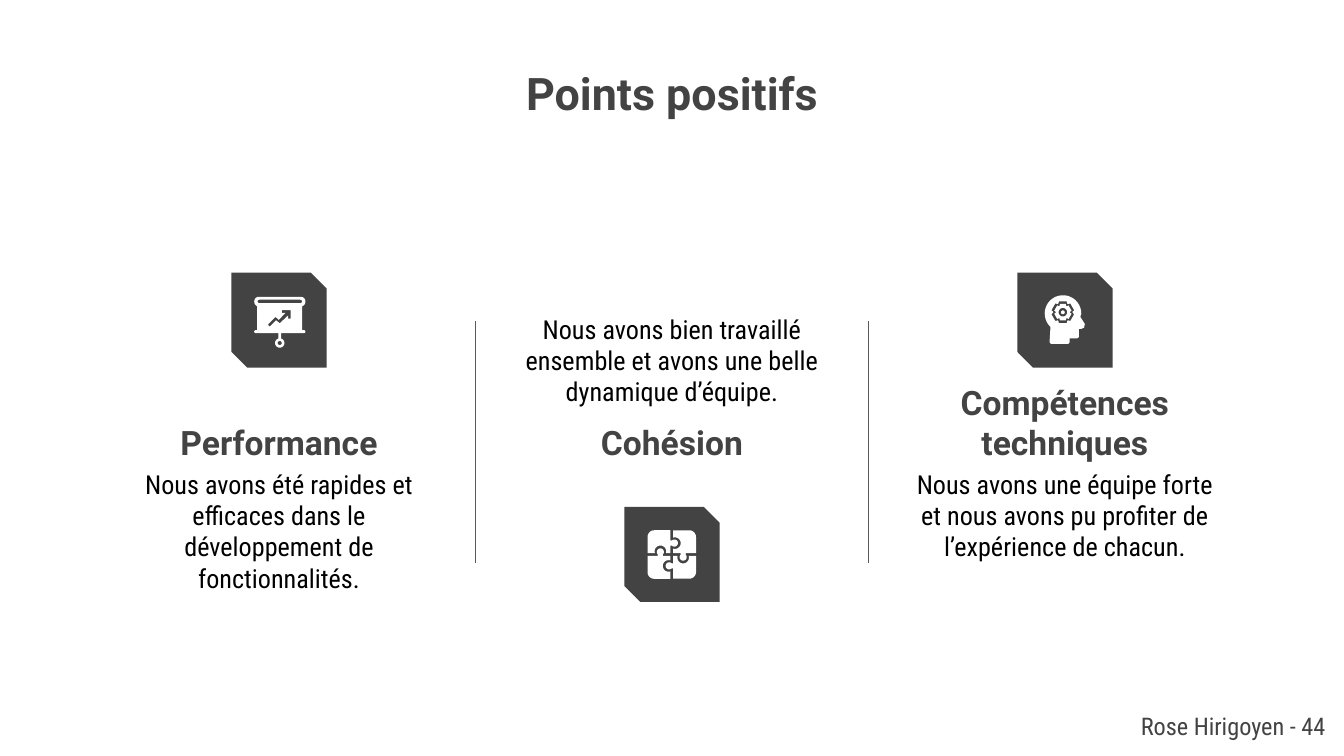
import math
from dataclasses import dataclass

import pptx
import pptx.dml.color
import pptx.enum.shapes
import pptx.enum.text
import pptx.oxml.ns
import pptx.util
from lxml import etree

Pt = pptx.util.Pt
RGB = pptx.dml.color.RGBColor.from_string
ALIGN = pptx.enum.text.PP_ALIGN
ANCHOR = pptx.enum.text.MSO_ANCHOR
SHAPE = pptx.enum.shapes.MSO_SHAPE


@dataclass(frozen=True)
class Theme:
    dark: str = "434343"
    text: str = "000000"
    rule: str = "595959"
    light: str = "FFFFFF"
    head_font: str = "Roboto"
    body_font: str = "Roboto Condensed"
    title_size: float = 24
    heading_size: float = 18
    body_size: float = 14
    footer_size: float = 13


THEME = Theme()
TITLE = dict(name=THEME.head_font, size=Pt(THEME.title_size), bold=True)
HEADING = dict(name=THEME.head_font, size=Pt(THEME.heading_size), bold=True)
BODY = dict(name=THEME.body_font, size=Pt(THEME.body_size), bold=False)
FOOTER = dict(name=THEME.body_font, size=Pt(THEME.footer_size), bold=False)

TILE = 51


def write(sp, text, font, color, align=ALIGN.CENTER, anchor=ANCHOR.TOP):
    tf = sp.text_frame
    frame = dict(word_wrap=True, auto_size=pptx.enum.text.MSO_AUTO_SIZE.NONE,
                 vertical_anchor=anchor)
    frame.update({f"margin_{side}": Pt(7.2)
                  for side in ("left", "top", "right", "bottom")})
    for key, value in frame.items():
        setattr(tf, key, value)
    p = tf.paragraphs[0]
    p.alignment = align
    r = p.add_run()
    r.text = text
    for key, value in font.items():
        setattr(r.font, key, value)
    r.font.color.rgb = RGB(color)


def text_box(s, box, *args, **kwargs):
    write(s.shapes.add_textbox(*map(Pt, box)), *args, **kwargs)


def paint(sp, color):
    sp.shadow.inherit = False
    sp.fill.solid()
    sp.fill.fore_color.rgb = RGB(color)
    sp.line.fill.background()


def arc(cx, cy, r, start, end, steps=24):
    """Points along an arc; angles in degrees, clockwise from the right."""
    angles = [math.radians(start + (end - start) * i / steps)
              for i in range(steps + 1)]
    return [(cx + r * math.cos(a), cy + r * math.sin(a)) for a in angles]


def circle(cx, cy, r):
    return arc(cx, cy, r, 0, 360)


def round_rect(x, y, w, h, r):
    corners = [(x + r, y + r), (x + w - r, y + r),
               (x + w - r, y + h - r), (x + r, y + h - r)]
    return [pt for i, (cx, cy) in enumerate(corners)
            for pt in arc(cx, cy, r, 180 + 90 * i, 270 + 90 * i, 6)]


def gear(cx, cy, tip, root):
    return [pt for a in range(-90, 270, 60)
            for r, turn in ((root, -27), (tip, -20), (tip, 20), (root, 27))
            for pt in arc(cx, cy, r, a + turn, a + turn, 1)[:1]]


def easel_icon():
    arrow = [(27, 20.2), (31.7, 20.2), (31.7, 24.8), (30.4, 24.8), (30.4, 23),
             (25.9, 27.2), (23.9, 25.6), (20.6, 29), (19.5, 28),
             (23.6, 23.8), (25.4, 25.4), (28.9, 21.7), (27, 21.7)]
    return [
        [round_rect(12.2, 13, 27.4, 5.2, 2.5), round_rect(14, 14.6, 23.8, 1.8, 0.9)],
        [round_rect(13.7, 17.5, 24.2, 14.5, 0.1), arrow],
        [round_rect(12.2, 30.9, 27.4, 1.6, 0.8)],
        [round_rect(25.1, 32, 1.6, 4, 0.1)],
        [circle(25.9, 37.8, 2.5), circle(25.9, 37.8, 1.1)],
    ]


def puzzle_icon():
    """One piece with a knob and a socket, turned by quarters."""
    piece = (arc(-9.4, -9.4, 3.6, 180, 270, 6)
             + [(-0.7, -13), (-0.7, -7.5)]
             + arc(1.4, -6.1, 1.9, 225, 495)
             + [(-0.7, -4.7), (-0.7, -0.7)]
             + arc(-6.1, -1.7, 3.1, 19, -199)
             + [(-13, -0.7)])
    pieces = []
    for _ in range(4):
        pieces.append([[(25.4 + x, 25.6 + y) for x, y in piece]])
        piece = [(y, -x) for x, y in piece]
    return pieces


def head_icon():
    head = arc(24.5, 22, 9.8, 133, 360) + [
        (33.8, 23.8), (36.2, 27.6), (35.8, 29.6), (34.4, 30.2), (33, 30.2),
        (33, 34.6), (32.2, 35.3), (28.1, 35.3), (28.1, 37.4), (27.4, 38.2),
        (18, 38.2), (17.3, 37.4)]
    cx, cy = 24.4, 21.3
    return [
        [head, gear(cx, cy, 6.2, 5.2)],
        [gear(cx, cy, 4.7, 3.8), circle(cx, cy, 2.3)],
        [circle(cx, cy, 1)],
    ]


def icon_tile(s, x, y, outlines):
    tile = s.shapes.add_shape(SHAPE.SNIP_2_DIAG_RECTANGLE,
                              Pt(x), Pt(y), Pt(TILE), Pt(TILE))
    for i, value in enumerate((0, 0.167)):
        tile.adjustments[i] = value
    paint(tile, THEME.dark)
    for contours in outlines:
        fb = None
        for contour in contours:
            points = [(Pt(x + px), Pt(y + py)) for px, py in contour]
            if fb is None:
                fb = s.shapes.build_freeform(*points[0])
            else:
                fb.move_to(*points[0])
            fb.add_line_segments(points[1:], close=True)
        paint(fb.convert_to_shape(), THEME.light)


def column(s, box, heading, body, body_w, outlines, icon_below):
    x, y, w, h = box
    centre = x + w / 2
    text_box(s, (x, y + 75, w, 34), heading, HEADING, THEME.dark,
             anchor=ANCHOR.BOTTOM)
    body_y = y + (14.5 if icon_below else 97.5)
    text_box(s, (centre - body_w / 2, body_y, body_w, 79), body, BODY, THEME.text)
    tile_y = y + h - TILE if icon_below else y
    icon_tile(s, centre - TILE / 2, tile_y, outlines)


def divider(s, x, top, bottom):
    ln = s.shapes.add_connector(pptx.enum.shapes.MSO_CONNECTOR.STRAIGHT,
                                Pt(x), Pt(top), Pt(x), Pt(bottom))
    ln.line.color.rgb = RGB(THEME.rule)
    ln.line.width = Pt(0.75)
    etree.SubElement(ln._element.spPr, pptx.oxml.ns.qn("a:effectLst"))


def columns(s, box, items):
    x, y, w, h = box
    col_w = w / len(items)
    for i, item in enumerate(items):
        left = x + i * col_w
        column(s, (left, y, col_w, h), *item)
        if i:
            divider(s, left, y + 26, y + 155.5)


def title(s, box, text):
    sp = s.shapes.title
    for key, value in zip(("left", "top", "width", "height"), box):
        setattr(sp, key, Pt(value))
    write(sp, text, TITLE, THEME.dark)


def main():
    prs = pptx.Presentation()
    prs.slide_width, prs.slide_height = Pt(720), Pt(405)
    s = prs.slides.add_slide(prs.slide_layouts.get_by_name("Title Only"))
    title(s, (155, 28, 410, 74), "Points positifs")
    columns(s, (44.25, 146, 631.5, 176.5), [
        ("Performance",
         "Nous avons été rapides et efficaces dans le développement de "
         "fonctionnalités.", 161, easel_icon(), False),
        ("Cohésion",
         "Nous avons bien travaillé ensemble et avons une belle dynamique "
         "d’équipe.", 175, puzzle_icon(), True),
        ("Compétences techniques",
         "Nous avons une équipe forte et nous avons pu profiter de "
         "l’expérience de chacun.", 175, head_icon(), False),
    ])
    text_box(s, (587, 374, 130, 31), "Rose Hirigoyen - 44", FOOTER, THEME.dark,
             align=ALIGN.RIGHT)
    prs.save("out.pptx")


if __name__ == "__main__":
    main()
